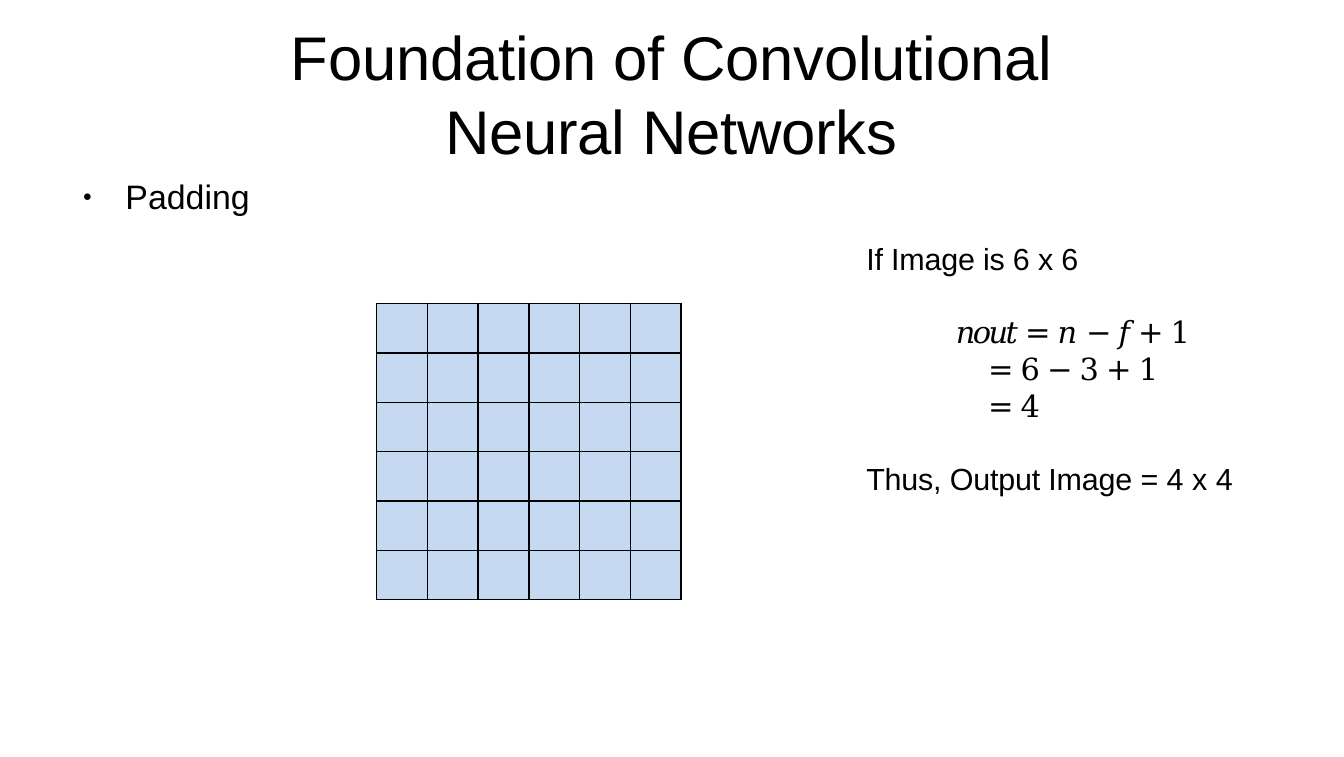
from dataclasses import dataclass

from lxml.etree import SubElement
from pptx import Presentation
from pptx.dml.color import RGBColor
from pptx.enum.text import MSO_ANCHOR, MSO_AUTO_SIZE, PP_ALIGN
from pptx.oxml.ns import qn
from pptx.util import Inches, Pt


@dataclass(frozen=True)
class Theme:
    ink: RGBColor = RGBColor(0, 0, 0)
    cell: RGBColor = RGBColor(0xC5, 0xD9, 0xF0)
    text_font: str = "Arial"
    math_font: str = "DejaVu Serif"
    title_size: float = 36.4
    list_size: float = 20
    note_size: float = 18
    border: float = 1
    tight: float = -0.1


THEME = Theme()
GRID_SIZE = 6
FORMULA = [("𝑛𝑜𝑢𝑡 ", -1.5), ("= ", -1.6), ("𝑛 ", -0.5), ("− ", -1.6),
           ("𝑓 ", -0.9), ("+ ", -1.6), ("1", -1.5)]
SUBSTITUTION = [("= ", -1.6), ("6 ", -1.5), ("− ", -1.6), ("3 ", -1.5),
                ("+ ", -1.6), ("1", -1.5)]
RESULT = [("= ", -1.6), ("4", -1.5)]


def place(shape, left, top, width, height):
    shape.left, shape.top = Inches(left), Inches(top)
    shape.width, shape.height = Inches(width), Inches(height)


def prepare_frame(shape, anchor=MSO_ANCHOR.TOP):
    frame = shape.text_frame
    frame.word_wrap = True
    frame.auto_size = MSO_AUTO_SIZE.NONE
    frame.vertical_anchor = anchor
    frame.margin_left = frame.margin_right = frame.margin_bottom = 0
    frame.margin_top = Inches(0.01)
    return frame


def write_para(para, spans, size, font=THEME.text_font, before=0.0,
               indent=0.0, hanging=0.0, align=PP_ALIGN.LEFT):
    """Fill a paragraph with (text, letter spacing) pairs."""
    para.alignment = align
    para.space_before = Pt(before)
    para.font.name, para.font.size = font, Pt(size)
    para.font.color.rgb = THEME.ink
    properties = para._p.get_or_add_pPr()
    properties.set("marL", str(Inches(indent)))
    properties.set("indent", str(Inches(hanging)))
    for text, spacing in spans:
        span = para.add_run()
        span.text = text
        span.font._element.set("spc", str(round(spacing * 100)))


def add_bullet(para, symbol, percent):
    properties = para._p.get_or_add_pPr()
    size = SubElement(properties, qn("a:buSzPct"), val=str(percent * 1000))
    bullet = SubElement(properties, qn("a:buChar"), char=symbol)
    default_font = properties.find(qn("a:defRPr"))
    default_font.addprevious(size)
    default_font.addprevious(bullet)


def fill_title(title):
    place(title, 1.58, 0.51, 7.86, 0.49)
    frame = prepare_frame(title, MSO_ANCHOR.MIDDLE)
    write_para(frame.paragraphs[0],
               [("Foundation of Convolutional Neural Networks", THEME.tight)],
               THEME.title_size, before=0.9, align=PP_ALIGN.CENTER)


def fill_topic(body):
    place(body, 0.66, 1.43, 1.4, 0.36)
    para = prepare_frame(body).paragraphs[0]
    write_para(para, [("Padding", 0)], THEME.list_size, before=1.1,
               indent=0.37, hanging=-0.35)
    add_bullet(para, "●", 45)


def style_cell(cell):
    cell.margin_top = cell.margin_bottom = 0
    properties = cell._tc.get_or_add_tcPr()
    for side in ("a:lnL", "a:lnR", "a:lnT", "a:lnB"):
        line = SubElement(properties, qn(side), w=str(Pt(THEME.border)))
        fill = SubElement(line, qn("a:solidFill"))
        SubElement(fill, qn("a:srgbClr"), val=str(THEME.ink))
    cell.fill.solid()
    cell.fill.fore_color.rgb = THEME.cell
    # The schema wants the borders before the fill
    properties.append(properties.find(qn("a:solidFill")))


def add_image_grid(page):
    width, height = Inches(2.5), Inches(2.43)
    grid = page.shapes.add_table(GRID_SIZE, GRID_SIZE, Inches(3.09),
                                 Inches(2.49), width, height).table
    for column in grid.columns:
        column.width = width // GRID_SIZE
    for row in grid.rows:
        row.height = height // GRID_SIZE
    for cell in grid.iter_cells():
        style_cell(cell)


def add_calculation(page):
    box = page.shapes.add_textbox(Inches(7.1), Inches(1.96),
                                  Inches(3.06), Inches(2.13))
    frame = prepare_frame(box)
    text = {"indent": 0.01}
    step = {"font": THEME.math_font, "indent": 1.01}
    formula = {**step, "indent": 0.35, "align": PP_ALIGN.CENTER}
    lines = [
        ([("If Image is 6 x 6", THEME.tight)], 1, text),
        (FORMULA, 21.6, formula),
        (SUBSTITUTION, 0.1, step),
        (RESULT, 0, step),
        ([("Thus, Output Image ", THEME.tight), ("= 4 x 4", 0)], 21.7, text),
    ]
    for number, (spans, before, style) in enumerate(lines):
        para = frame.add_paragraph() if number else frame.paragraphs[0]
        write_para(para, spans, THEME.note_size, before=before, **style)


def main():
    deck = Presentation()
    deck.slide_width, deck.slide_height = Inches(11.03), Inches(6.21)
    page = deck.slides.add_slide(deck.slide_layouts[1])
    fill_title(page.shapes.title)
    fill_topic(page.placeholders[1])
    add_image_grid(page)
    add_calculation(page)
    deck.save("out.pptx")


if __name__ == "__main__":
    main()
